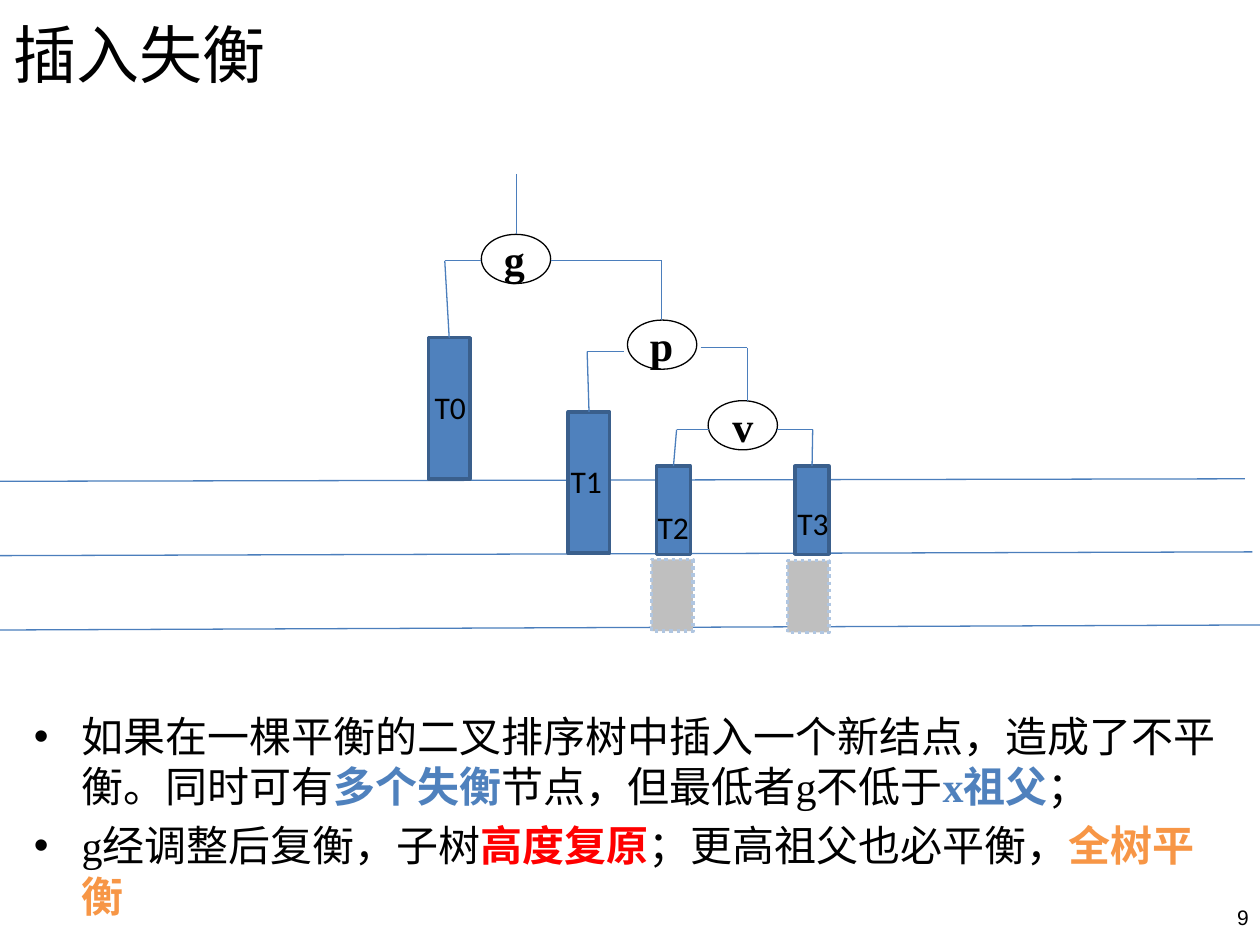
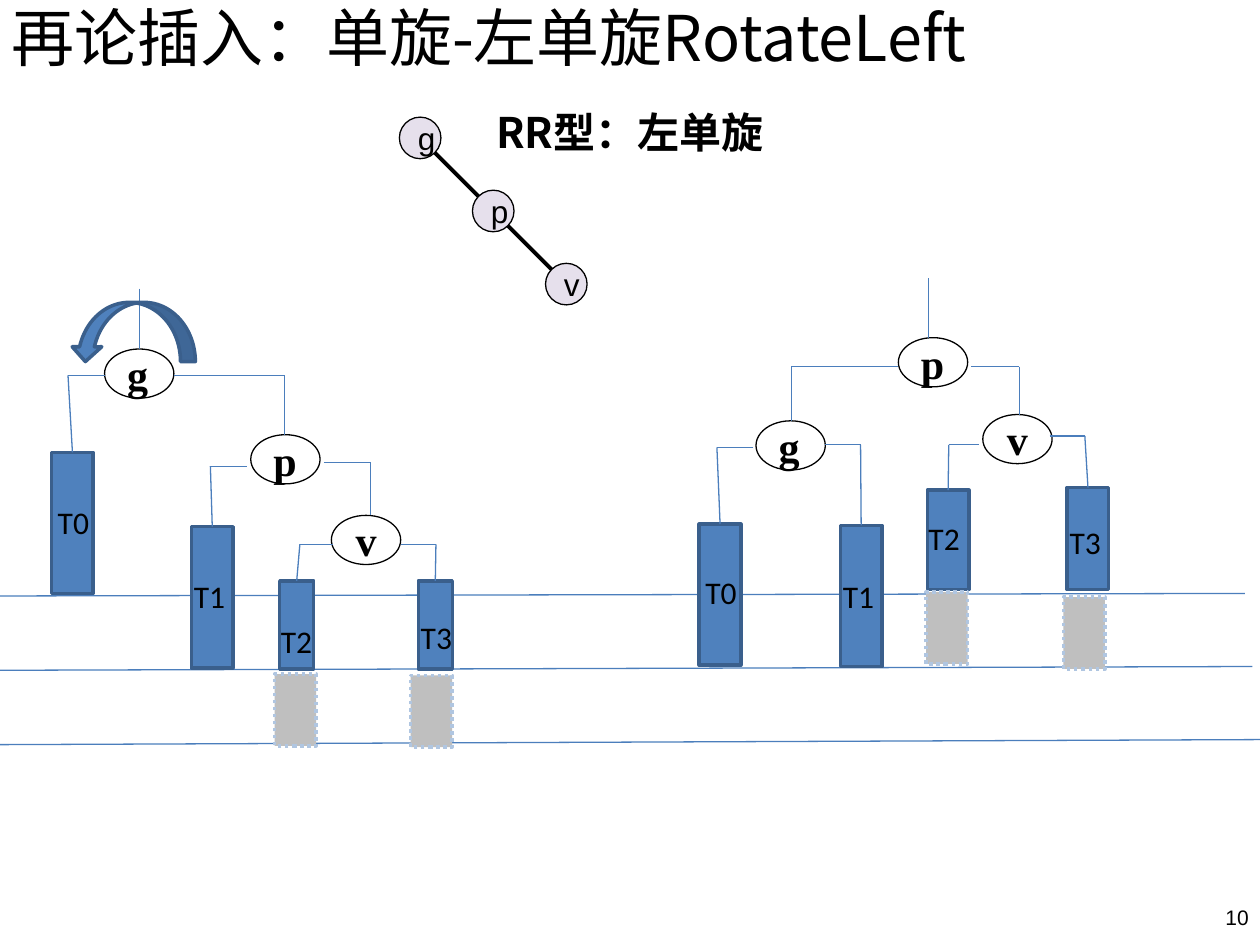
from lxml import etree
from pptx import Presentation
from pptx import util as u
from pptx.dml.color import RGBColor
from pptx.enum import dml, shapes, text
from pptx.oxml import ns

# Colours and fonts
BLACK = RGBColor(0x00, 0x00, 0x00)
BLUE = RGBColor(0x4F, 0x81, 0xBD)
BRANCH = RGBColor(0x4B, 0x7E, 0xBC)
BAR_EDGE = RGBColor(0x3A, 0x5F, 0x8C)
GREY = RGBColor(0xBF, 0xBF, 0xBF)
DOTTED = RGBColor(0xB0, 0xC6, 0xE1)
LILAC = RGBColor(0xE6, 0xE0, 0xEC)
RED = RGBColor(0xFF, 0x00, 0x00)
ORANGE = RGBColor(0xF7, 0x96, 0x46)
SERIF, SANS, LABEL = "Times New Roman", "Arial", "Calibri"
TITLE_FONT, CJK = "Noto Sans CJK JP", "Noto Sans CJK SC"

# Shared sizes, in inches
WIDTH, HEIGHT = 10, 7.5
NODE = (0.55, 0.39)
PENDING = (0.33, 0.57)
LABEL_SHIFT = {"T0": -0.05, "T1": -0.08, "T2": -0.09, "T3": -0.08}

# Content: nodes (left, top), bars (left, top, width, height, label top),
# links (arm start, corner x, corner y, child), pending boxes (left, top)
UNBALANCED = {
    "stem": (4.1, 1.38),
    "root": "g",
    "nodes": {"g": (3.82, 1.86), "p": (4.98, 2.54), "v": (5.62, 3.18)},
    "bars": {
        "T0": (3.4, 2.68, 0.33, 1.12, 3.03),
        "T1": (4.51, 3.27, 0.33, 1.12, 3.62),
        "T2": (5.21, 3.7, 0.27, 0.7, 3.98),
        "T3": (6.31, 3.7, 0.27, 0.7, 3.95),
    },
    "links": [
        (3.82, 3.53, 2.07, "T0"), (4.37, 5.25, 2.07, "p"),
        (4.95, 4.66, 2.79, "T1"), (5.56, 5.93, 2.76, "v"),
        (5.63, 5.37, 3.41, "T2"), (6.17, 6.45, 3.41, "T3"),
    ],
    "pending": [(5.17, 4.44), (6.25, 4.45)],
}
ROTATED = {
    "stem": (7.37, 2.21),
    "root": "p",
    "nodes": {"p": (7.13, 2.68), "g": (6, 3.34), "v": (7.8, 3.29)},
    "bars": {
        "T0": (5.55, 4.16, 0.33, 1.12, 4.5),
        "T1": (6.67, 4.17, 0.33, 1.12, 4.53),
        "T2": (7.36, 3.89, 0.33, 0.79, 4.07),
        "T3": (8.47, 3.87, 0.33, 0.81, 4.1),
    },
    "links": [
        (7.13, 6.28, 2.91, "g"), (7.71, 8.09, 2.91, "v"),
        (5.98, 5.69, 3.55, "T0"), (6.55, 6.83, 3.53, "T1"),
        (7.77, 7.53, 3.53, "T2"), (8.33, 8.61, 3.46, "T3"),
    ],
    "pending": [(7.35, 4.7), (8.44, 4.74)],
}
LEVELS = [(3.82, 9.88, 3.8), (4.41, 9.94, 4.38), (5, 10, 4.96)]  # left y, right x, right y
TREE_SHIFT = (-2.99, 0.91)  # the unbalanced tree on the second slide

CONCLUSIONS = [
    [("如果在一棵平衡的二叉排序树中插入一个新结点，造成了不平衡。同时可有", None),
     ("多个失衡", BLUE), ("节点，但最低者g不低于", None), ("x祖父", BLUE), ("；", None)],
    [("g经调整后复衡，子树", None), ("高度复原", RED),
     ("；更高祖父也必平衡，", None), ("全树平衡", ORANGE)],
]


def box(left, top, width, height):
    return [u.Inches(n) for n in (left, top, width, height)]


def style_run(run, size, font, color=BLACK, bold=False):
    run.font.size = u.Pt(size)
    run.font.name = font
    run.font.bold = bold
    run.font.color.rgb = color
    east = etree.SubElement(run.font._element, ns.qn("a:ea"))
    east.set("typeface", TITLE_FONT if font == TITLE_FONT else CJK)


def write(shape, words, size, font, bold=False, align=text.PP_ALIGN.LEFT,
          anchor=text.MSO_ANCHOR.MIDDLE, wrap=True):
    frame = shape.text_frame
    frame.text = words
    frame.word_wrap = wrap
    frame.vertical_anchor = anchor
    frame.paragraphs[0].alignment = align
    style_run(frame.paragraphs[0].runs[0], size, font, bold=bold)


def add_words(slide, at, words, size, font, **options):
    write(slide.shapes.add_textbox(*box(*at)), words, size, font, **options)


def add_line(slide, start, end, color=BRANCH, weight=0.75):
    line = slide.shapes.add_connector(
        shapes.MSO_CONNECTOR.STRAIGHT, *[u.Inches(n) for n in (*start, *end)])
    line.line.color.rgb = color
    line.line.width = u.Pt(weight)
    etree.SubElement(line._element.spPr, ns.qn("a:effectLst"))
    return line


def add_figure(slide, kind, at, fill, edge, weight):
    figure = slide.shapes.add_shape(kind, *box(*at))
    figure.shadow.inherit = False
    if fill is None:
        figure.fill.background()
    else:
        figure.fill.solid()
        figure.fill.fore_color.rgb = fill
    figure.line.color.rgb = edge
    figure.line.width = u.Pt(weight)
    return figure


def draw_levels(slide, dy=0):
    for left_y, right_x, right_y in LEVELS:
        add_line(slide, (0, left_y + dy), (right_x, right_y + dy))


def draw_tree(slide, tree, dx=0, dy=0):
    # Subtree bars
    bars = {}
    for name, (left, top, width, height, label_top) in tree["bars"].items():
        bars[name] = add_figure(slide, shapes.MSO_SHAPE.RECTANGLE,
                                (left + dx, top + dy, width, height), BLUE, BAR_EDGE, 2)
        add_words(slide, (left + LABEL_SHIFT[name] + dx, label_top + dy, 0.49, 0.4),
                  name, 18, LABEL, anchor=text.MSO_ANCHOR.TOP)
    # Nodes
    for name, (left, top) in tree["nodes"].items():
        node = add_figure(slide, shapes.MSO_SHAPE.OVAL,
                          (left + dx, top + dy, *NODE), None, BLACK, 0.75)
        align = text.PP_ALIGN.CENTER if name == "v" else text.PP_ALIGN.LEFT
        write(node, name, 24, SERIF, bold=True, align=align, wrap=False)
    # Stem above the root, then an arm and a drop for each link
    stem_x, stem_y = tree["stem"]
    root_top = tree["nodes"][tree["root"]][1]
    add_line(slide, (stem_x + dx, stem_y + dy), (stem_x + dx, root_top + dy))
    for start_x, x, y, child in tree["links"]:
        corner = (x + dx, y + dy)
        add_line(slide, (start_x + dx, y + dy), corner)
        child_top = (tree["nodes"].get(child) or tree["bars"][child])[1]
        drop = add_line(slide, corner, (x + dx, child_top + dy))
        if child in bars:
            drop.end_connect(bars[child], 0)
    # Places where the new node may land
    for left, top in tree["pending"]:
        pending = add_figure(slide, shapes.MSO_SHAPE.RECTANGLE,
                             (left + dx, top + dy, *PENDING), GREY, DOTTED, 2)
        pending.line.dash_style = dml.MSO_LINE.ROUND_DOT


def draw_chain(slide):
    left, top, step, size = 3.17, 0.93, 0.58, 0.33
    add_line(slide, (3.42, 1.18), (4.42, 2.18), BLACK, 2.25)
    for i, name in enumerate("gpv"):
        node = add_figure(slide, shapes.MSO_SHAPE.OVAL,
                          (left + i * step, top + i * step, size, size), LILAC, BLACK, 0.75)
        write(node, name, 18, SANS, wrap=False)
    add_words(slide, (3.84, 0.8, 2.47, 0.5), "RR型：左单旋", 24, CJK,
              bold=True, anchor=text.MSO_ANCHOR.TOP)


def draw_conclusions(slide):
    frame = slide.shapes.add_textbox(*box(0.17, 5.59, 9.69, 1.84)).text_frame
    frame.word_wrap = True
    for i, parts in enumerate(CONCLUSIONS):
        paragraph = frame.add_paragraph() if i else frame.paragraphs[0]
        if i:
            paragraph.space_before = u.Pt(4.8)
        props = paragraph._p.get_or_add_pPr()
        props.set("marL", str(u.Inches(0.38)))
        props.set("indent", str(-u.Inches(0.38)))
        etree.SubElement(props, ns.qn("a:buFont")).set("typeface", SANS)
        etree.SubElement(props, ns.qn("a:buChar")).set("char", "•")
        for words, accent in parts:
            run = paragraph.add_run()
            run.text = words
            style_run(run, 24, SERIF, accent or BLACK, bold=accent is not None)


def new_slide(deck, title, title_at, number):
    slide = deck.slides.add_slide(deck.slide_layouts[6])
    add_words(slide, (*title_at, 9, 0.7), title, 36, TITLE_FONT)
    add_words(slide, (9.58, 7.08, 0.43, 0.4), str(number), 12, SANS,
              align=text.PP_ALIGN.RIGHT)
    return slide


def main():
    deck = Presentation()
    deck.slide_width, deck.slide_height = u.Inches(WIDTH), u.Inches(HEIGHT)

    # Imbalance after an insertion
    imbalance = new_slide(deck, "插入失衡", (0.01, 0.07), 9)
    draw_levels(imbalance)
    draw_tree(imbalance, UNBALANCED)
    draw_conclusions(imbalance)

    # Single left rotation, before and after
    rotation = new_slide(deck, "再论插入：单旋-左单旋RotateLeft", (-0.01, -0.06), 10)
    draw_levels(rotation, TREE_SHIFT[1])
    draw_tree(rotation, UNBALANCED, *TREE_SHIFT)
    turn = add_figure(rotation, shapes.MSO_SHAPE.CURVED_RIGHT_ARROW,
                      (0.82, 2.14, 0.47, 0.99), BLUE, BAR_EDGE, 2)
    turn.rotation = 90
    draw_tree(rotation, ROTATED)
    draw_chain(rotation)

    deck.save("out.pptx")


if __name__ == "__main__":
    main()
